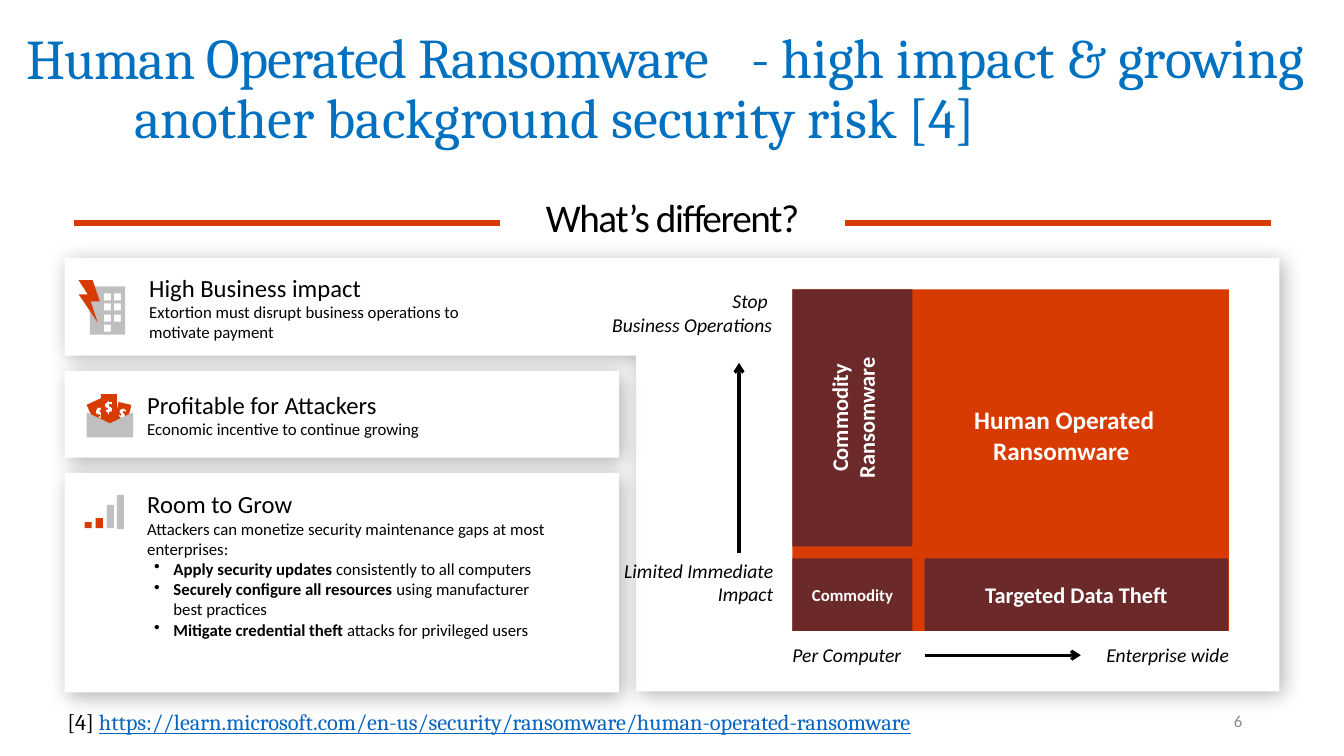
from copy import deepcopy

from lxml import etree
from pptx import Presentation
from pptx.dml.color import RGBColor
from pptx.enum.shapes import MSO_CONNECTOR, MSO_SHAPE
from pptx.enum.text import MSO_ANCHOR, MSO_AUTO_SIZE, PP_ALIGN
from pptx.oxml.ns import qn
from pptx.util import Emu, Pt

RECTANGLE = MSO_SHAPE.RECTANGLE
STRAIGHT = MSO_CONNECTOR.STRAIGHT
TOP, MIDDLE = MSO_ANCHOR.TOP, MSO_ANCHOR.MIDDLE
LEFT, CENTER, RIGHT = PP_ALIGN.LEFT, PP_ALIGN.CENTER, PP_ALIGN.RIGHT
NO_AUTOFIT = MSO_AUTO_SIZE.NONE

PX = 9144
BLACK, WHITE, GRAY = "000000", "FFFFFF", "BFBFBF"
ORANGE, MAROON, BLUE = "D83B01", "6B2929", "0070C0"
LINK, PAGE_GRAY = "0563C1", "8C8C8C"
BOX_INSETS = (10, 16, 10, 16)
CARD_INSETS = (20, 16, 10, 16)
NO_INSETS = (0, 0, 0, 0)
DETAIL = {"size": 12}
STRONG = {"size": 12, "bold": True}
DOLLAR = [(7, 8), (7, 10), (4, 11), (4, 13), (3, 13), (3, 11), (1, 10), (1, 8),
          (2, 9), (3, 9), (3, 7), (1, 6), (0, 4), (1, 2), (3, 1), (3, 0),
          (4, 0), (4, 1), (7, 1), (7, 3), (4, 3), (4, 5), (7, 7)]


def color(value):
    return RGBColor.from_string(value)


def lengths(*values):
    return [Emu(value * PX) for value in values]


def rectangle_points(left, top, width, height):
    return [(left, top), (left + width, top),
            (left + width, top + height), (left, top + height)]


def write(shape, paragraphs, align=LEFT, anchor=TOP, insets=(10, 5, 10, 5),
          line_spacing=None, space_after=0, margin=0, indent=0,
          bullets_from=None, vertical=None, **run_format):
    frame = shape.text_frame
    frame.word_wrap = True
    frame.auto_size = NO_AUTOFIT
    frame.vertical_anchor = anchor
    (frame.margin_left, frame.margin_top,
     frame.margin_right, frame.margin_bottom) = lengths(*insets)
    if vertical:
        frame._txBody.bodyPr.set("vert", vertical)
    for index, runs in enumerate(paragraphs):
        paragraph = frame.add_paragraph() if index else frame.paragraphs[0]
        paragraph.alignment = align
        paragraph.line_spacing = line_spacing
        paragraph.space_before = Pt(0)
        paragraph.space_after = Pt(space_after)
        properties = paragraph._p.get_or_add_pPr()
        bulleted = bullets_from is not None and index >= bullets_from
        left, first = (88, -19) if bulleted else (margin, indent)
        properties.set("marL", str(left * PX))
        properties.set("indent", str(first * PX))
        if bulleted:
            paragraph.level = 1
            etree.SubElement(properties, qn("a:buChar")).set("char", "•")
        for text, changes in runs:
            write_run(paragraph, text, **{**run_format, **changes})


def write_run(paragraph, text, size=12, font="Calibri", fill=BLACK, bold=False,
              italic=False, underline=False, spacing=0):
    for index, line in enumerate(text.split("\n")):
        if index:
            paragraph.add_line_break()
            paragraph._p[-1].append(deepcopy(run._r.get_or_add_rPr()))
        run = paragraph.add_run()
        run.text = line
        run.font.size = Pt(size)
        run.font.name = font
        run.font.color.rgb = color(fill)
        run.font.bold, run.font.italic = bold, italic
        run.font.underline = underline
        if spacing:
            run._r.get_or_add_rPr().set("spc", str(spacing))


class SlideBuilder:
    """Draws styled elements on one slide, measured in px."""

    def __init__(self, presentation):
        self.slide = presentation.slides.add_slide(presentation.slide_layouts[5])
        self.shapes = self.slide.shapes

    def title(self, box, paragraphs, **text_format):
        title = self.shapes.title
        title.left, title.top, title.width, title.height = lengths(*box)
        write(title, paragraphs, **text_format)

    def text(self, box, paragraphs, rotation=0, **text_format):
        shape = self.shapes.add_textbox(*lengths(*box))
        shape.rotation = rotation
        write(shape, paragraphs, **text_format)

    def paint(self, shape, fill):
        shape.shadow.inherit = False
        shape.fill.solid()
        shape.fill.fore_color.rgb = color(fill)
        shape.line.fill.background()
        return shape

    def box(self, box, fill, paragraphs=(), rotation=0, **text_format):
        shape = self.paint(self.shapes.add_shape(RECTANGLE, *lengths(*box)), fill)
        shape.rotation = rotation
        if paragraphs:
            write(shape, paragraphs, **text_format)
        return shape

    def cast_shadow(self, shape):
        effects = shape._element.spPr.find(qn("a:effectLst"))
        shadow = etree.SubElement(effects, qn("a:outerShdw"), blurRad=str(int(Pt(15))),
                                  dist=str(int(Pt(4))), dir="2700000", rotWithShape="0")
        tint = etree.SubElement(shadow, qn("a:srgbClr"), val=BLACK)
        etree.SubElement(tint, qn("a:alpha"), val="30000")

    def card(self, box, paragraphs, **text_format):
        self.cast_shadow(self.box(box, WHITE, paragraphs, insets=CARD_INSETS, **text_format))

    def outline(self, contours, fill):
        builder = self.shapes.build_freeform(*contours[0][0], scale=PX)
        builder.add_line_segments(contours[0][1:])
        for contour in contours[1:]:
            builder.move_to(*contour[0])
            builder.add_line_segments(contour[1:])
        return self.paint(builder.convert_to_shape(), fill)

    def line(self, start, end, stroke, width, arrow=False):
        connector = self.shapes.add_connector(STRAIGHT, *lengths(*start, *end))
        connector.line.color.rgb = color(stroke)
        connector.line.width = Pt(width)
        if arrow:
            etree.SubElement(connector.get_or_add_ln(), qn("a:tailEnd"), type="arrow")
        etree.SubElement(connector._element.spPr, qn("a:effectLst"))


def draw_icons(builder):
    for left, top, height, fill in [(84, 518, 6, ORANGE), (95, 514, 10, ORANGE),
                                    (106, 501, 23, GRAY), (116, 491, 34, GRAY)]:
        builder.box((left, top, 7, height), fill)

    windows = [(column, row) for column in (103, 113) for row in (291, 301, 312)]
    windows.append((103, 322))
    builder.outline([rectangle_points(89, 284, 35, 48)]
                    + [rectangle_points(*window, 7, 7)[::-1] for window in windows], GRAY)
    builder.outline([[(78, 278), (92, 278), (99, 299), (90, 299),
                      (97, 320), (78, 292), (87, 292)]], ORANGE)

    for note, sign, rotation in [((91, 397, 16, 28), (96, 404, 7, 13), 335.5),
                                 ((115, 400, 13, 22), (118, 405, 6, 11), 13.4),
                                 ((100, 391, 16, 28), (104, 398, 7, 13), 0)]:
        builder.box(note, ORANGE, rotation=rotation)
        dollar = builder.outline([DOLLAR], WHITE)
        dollar.left, dollar.top, dollar.width, dollar.height = lengths(*sign)
        dollar.rotation = rotation
    builder.outline([[(86, 409), (109, 420), (132, 409), (132, 434), (86, 434)]], GRAY)


def main():
    presentation = Presentation()
    presentation.slide_width, presentation.slide_height = lengths(1333, 750)
    builder = SlideBuilder(presentation)

    heading = {"size": 40, "font": "Cambria", "fill": BLUE,
               "anchor": MIDDLE, "line_spacing": 0.9}
    builder.title((123, 46, 1248, 87),
                  [[("- high impact & growing\nanother background security risk [4]", {})]],
                  indent=612, **heading)
    builder.text((16, 14, 751, 92), [[("Human Operated Ransomware", {})]],
                 rotation=359.9, space_after=6, spacing=-50, **heading)
    builder.line((73, 221), (1261, 221), ORANGE, 4.5)
    builder.box((496, 181, 342, 75), WHITE, [[("What’s different?", {})]], size=28,
                spacing=-100, align=CENTER, anchor=MIDDLE, insets=BOX_INSETS,
                line_spacing=0.9, space_after=6)

    panel = builder.outline([[(64, 256), (1269, 256), (1269, 686),
                              (631, 686), (631, 353), (64, 353)]], WHITE)
    builder.cast_shadow(panel)
    builder.text((128, 260, 357, 90),
                 [[("High Business impact\n", {}),
                   ("Extortion must disrupt business operations to motivate payment", DETAIL)]],
                 size=17.6, anchor=MIDDLE, insets=(20, 10, 10, 10))

    for box, fill, label, size, options in [
            ((786, 287, 433, 339), ORANGE, "Human Operated Ransomware ", 18,
             {"margin": 106, "insets": (20, 0, 20, 50)}),
            ((786, 287, 119, 255), MAROON, "Commodity Ransomware", 16, {"vertical": "vert270"}),
            ((917, 554, 301, 72), MAROON, "Targeted Data Theft", 16, {}),
            ((786, 554, 119, 72), MAROON, "Commodity", 12, {})]:
        builder.box(box, fill, [[(label, {"fill": WHITE, "bold": True})]], size=size,
                    align=CENTER, anchor=MIDDLE, **{"insets": BOX_INSETS, **options})

    for start, end in [((733, 549), (733, 360)), ((917, 650), (1072, 650))]:
        builder.line(start, end, BLACK, 2.25, arrow=True)
    for box, label, align in [((591, 287, 175, 71), "Stop \nBusiness Operations", RIGHT),
                              ((1084, 638, 135, 24), "Enterprise wide", RIGHT),
                              ((615, 554, 152, 71), "Limited Immediate Impact", RIGHT),
                              ((786, 638, 210, 24), "Per Computer", LEFT)]:
        builder.text(box, [[(label, {})]], size=14, italic=True, align=align, insets=NO_INSETS)

    builder.card((64, 368, 550, 86),
                 [[("Profitable for Attackers", {})],
                  [("Economic incentive to continue growing", DETAIL)]],
                 size=17.6, anchor=MIDDLE, margin=62)
    builder.card((64, 469, 550, 218),
                 [[("Room to Grow", {})],
                  [("Attackers can monetize security maintenance gaps at most enterprises:", DETAIL)],
                  [("Apply security updates ", STRONG), ("consistently to all computers", DETAIL)],
                  [("Securely configure all resources ", STRONG),
                   ("using manufacturer \nbest practices", DETAIL)],
                  [("Mitigate credential theft ", STRONG),
                   ("attacks for privileged users", DETAIL)]],
                 size=17.6, margin=62, bullets_from=2)
    draw_icons(builder)

    builder.text((57, 698, 1245, 37),
                 [[("[4] ", {}),
                   ("https://learn.microsoft.com/en-us/security/ransomware/human-operated-ransomware",
                    {"fill": LINK, "underline": True})]], size=16, font="Cambria")
    builder.text((942, 695, 300, 40), [[("6", {})]], fill=PAGE_GRAY, align=RIGHT, anchor=MIDDLE)
    presentation.save("out.pptx")


if __name__ == "__main__":
    main()
